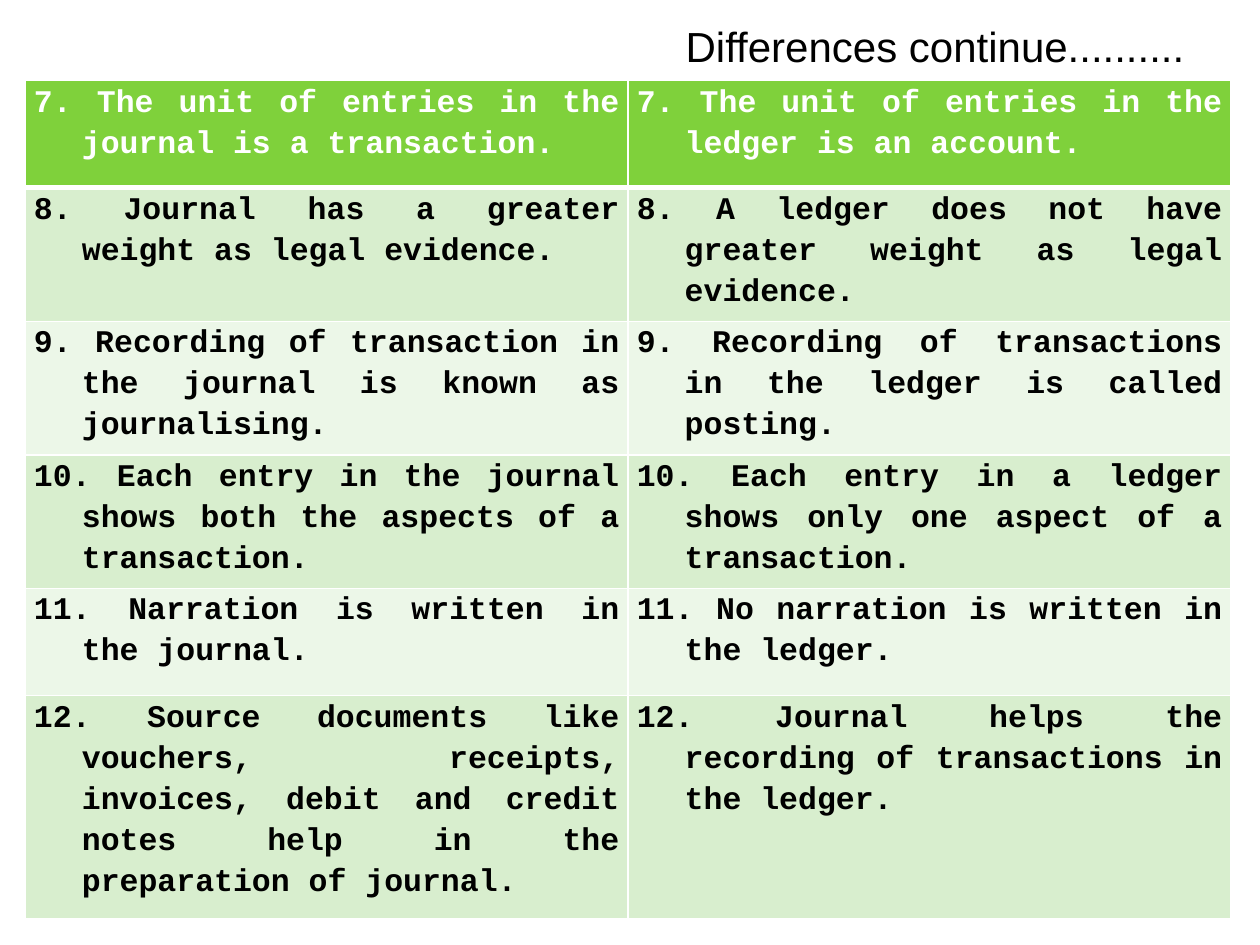
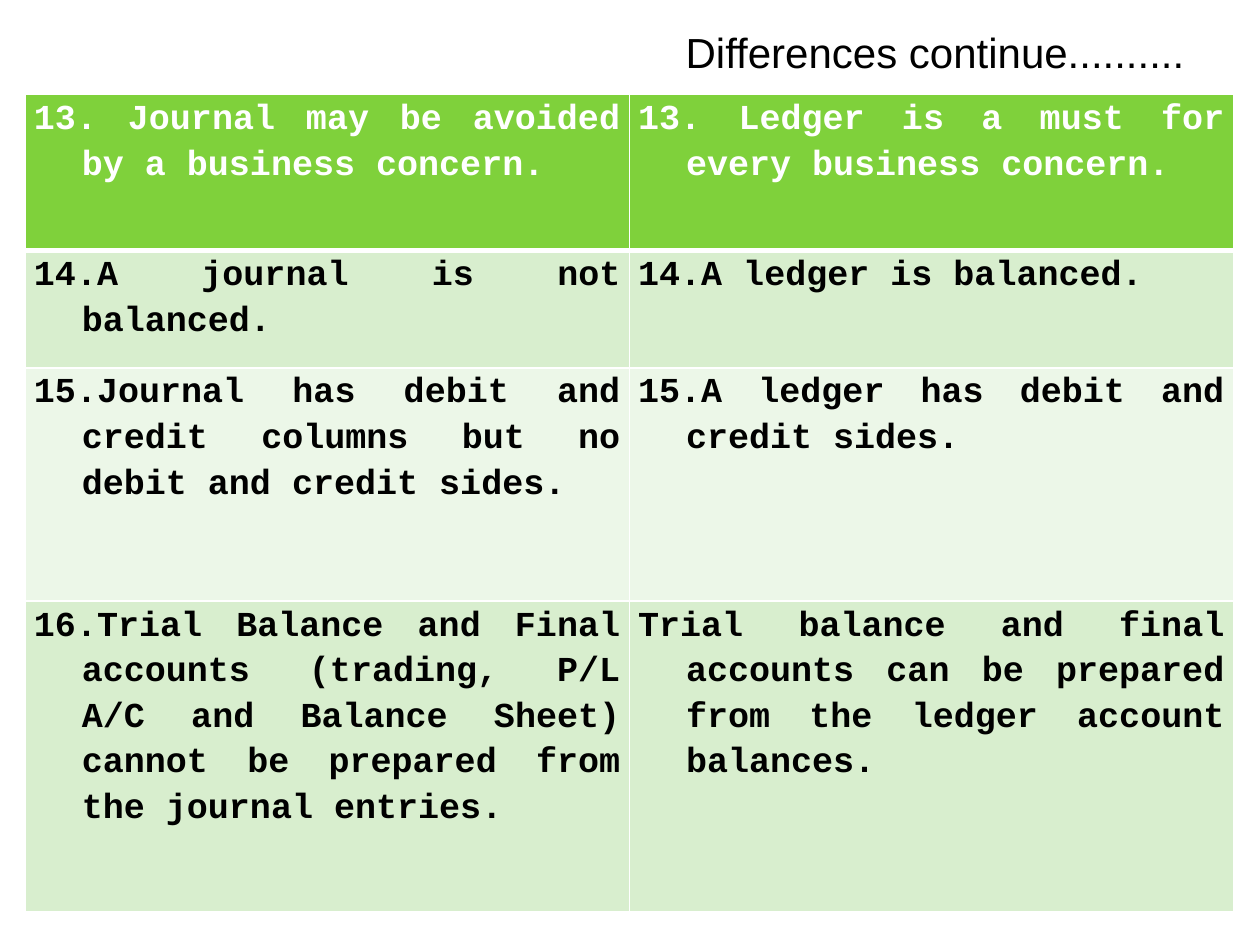
from lxml.etree import SubElement
from pptx import Presentation
from pptx.dml.color import RGBColor
from pptx.enum.text import MSO_ANCHOR, MSO_AUTO_SIZE, PP_ALIGN
from pptx.oxml.ns import qn
from pptx.util import Inches, Pt

WHITE, BLACK = "FFFFFF", "000000"
HEADER_GREEN, BAND_GREEN, BAND_PALE = "7FD13B", "D8EECE", "ECF7E8"
TITLE_FONT, TABLE_FONT = "Arial", "Courier New"
TITLE = "Differences continue.........."
THIN, THICK = Pt(1), Pt(3)
HANG = Inches(0.38)

JOURNAL_LEDGER_7_TO_12 = [
    (0.85, "7. The unit of entries in the journal is a transaction.",
     "7. The unit of entries in the ledger is an account."),
    (1.06, "8. Journal has a greater weight as legal evidence.",
     "8. A ledger does not have greater weight as legal evidence."),
    (1.06, "9. Recording of transaction in the journal is known as journalising.",
     "9. Recording of transactions in the ledger is called posting."),
    (1.06, "10. Each entry in the journal shows both the aspects of a transaction.",
     "10. Each entry in a ledger shows only one aspect of a transaction."),
    (0.85, "11. Narration is written in the journal.",
     "11. No narration is written in the ledger."),
    (1.77, "12. Source documents like vouchers, receipts, invoices, debit and credit "
           "notes help in the preparation of journal.",
     "12. Journal helps the recording of transactions in the ledger."),
]

JOURNAL_LEDGER_13_TO_16 = [
    (1.24, "13. Journal may be avoided by a business concern.",
     "13. Ledger is a must for every business concern."),
    (0.93, "14.A journal is not balanced.", "14.A ledger is balanced."),
    (1.85, "15.Journal has debit and credit columns but no debit and credit sides.",
     "15.A ledger has debit and credit sides."),
    (2.47, "16.Trial Balance and Final accounts (trading, P/L A/C and Balance Sheet) "
           "cannot be prepared from the journal entries.",
     "Trial balance and final accounts can be prepared from the ledger account balances."),
]


def color(value):
    return RGBColor.from_string(value)


def add_span(para, text, font, size, ink, bold=False):
    span = para.add_run()
    span.text = text
    span.font.name = font
    span.font.size = Pt(size)
    span.font.bold = bold
    span.font.color.rgb = color(ink)


def place_title(page, left, top, width, height):
    title = page.shapes.title
    title.left, title.top = Inches(left), Inches(top)
    title.width, title.height = Inches(width), Inches(height)
    frame = title.text_frame
    frame.word_wrap = True
    frame.auto_size = MSO_AUTO_SIZE.NONE
    frame.vertical_anchor = MSO_ANCHOR.BOTTOM
    para = frame.paragraphs[0]
    para.alignment = PP_ALIGN.RIGHT
    add_span(para, TITLE, TITLE_FONT, 24, BLACK)


def set_borders(cell, top, bottom):
    properties = cell._tc.get_or_add_tcPr()
    widths = {"a:lnL": THIN, "a:lnR": THIN, "a:lnT": top, "a:lnB": bottom}
    for position, (tag, width) in enumerate(widths.items()):
        line = SubElement(properties, qn(tag), w=str(width))
        fill = SubElement(line, qn("a:solidFill"))
        SubElement(fill, qn("a:srgbClr"), val=WHITE)
        properties.insert(position, line)


def fill_cell(cell, text, size, row):
    cell.margin_left = cell.margin_right = Inches(0.07)
    cell.margin_top = cell.margin_bottom = 0
    cell.fill.solid()
    band = BAND_GREEN if row % 2 else BAND_PALE
    cell.fill.fore_color.rgb = color(band if row else HEADER_GREEN)
    set_borders(cell, THICK if row == 1 else THIN, THIN if row else THICK)
    para = cell.text_frame.paragraphs[0]
    para.alignment = PP_ALIGN.JUSTIFY
    para.line_spacing = 1.15
    indents = para._p.get_or_add_pPr()
    indents.set("marL", str(HANG))
    indents.set("indent", str(-HANG))
    add_span(para, text, TABLE_FONT, size, BLACK if row else WHITE, True)


def add_differences_table(page, left, top, width, entries, size):
    height = sum(entry[0] for entry in entries)
    table = page.shapes.add_table(len(entries), 2, Inches(left), Inches(top),
                                  Inches(width), Inches(height)).table
    for row, (row_height, *texts) in enumerate(entries):
        table.rows[row].height = Inches(row_height)
        for column, text in enumerate(texts):
            fill_cell(table.cell(row, column), text, size, row)


def add_differences_page(deck, title_top, table_top, table_width, entries, size):
    page = deck.slides.add_slide(deck.slide_layouts[5])
    place_title(page, 0.5, title_top, 9, 0.41)
    add_differences_table(page, 0.2, table_top, table_width, entries, size)


def main():
    deck = Presentation()
    deck.slide_width, deck.slide_height = Inches(10), Inches(7.5)
    add_differences_page(deck, 0.2, 0.64, 9.57, JOURNAL_LEDGER_7_TO_12, 18)
    add_differences_page(deck, 0.25, 0.75, 9.59, JOURNAL_LEDGER_13_TO_16, 20)
    deck.save("out.pptx")


if __name__ == "__main__":
    main()
